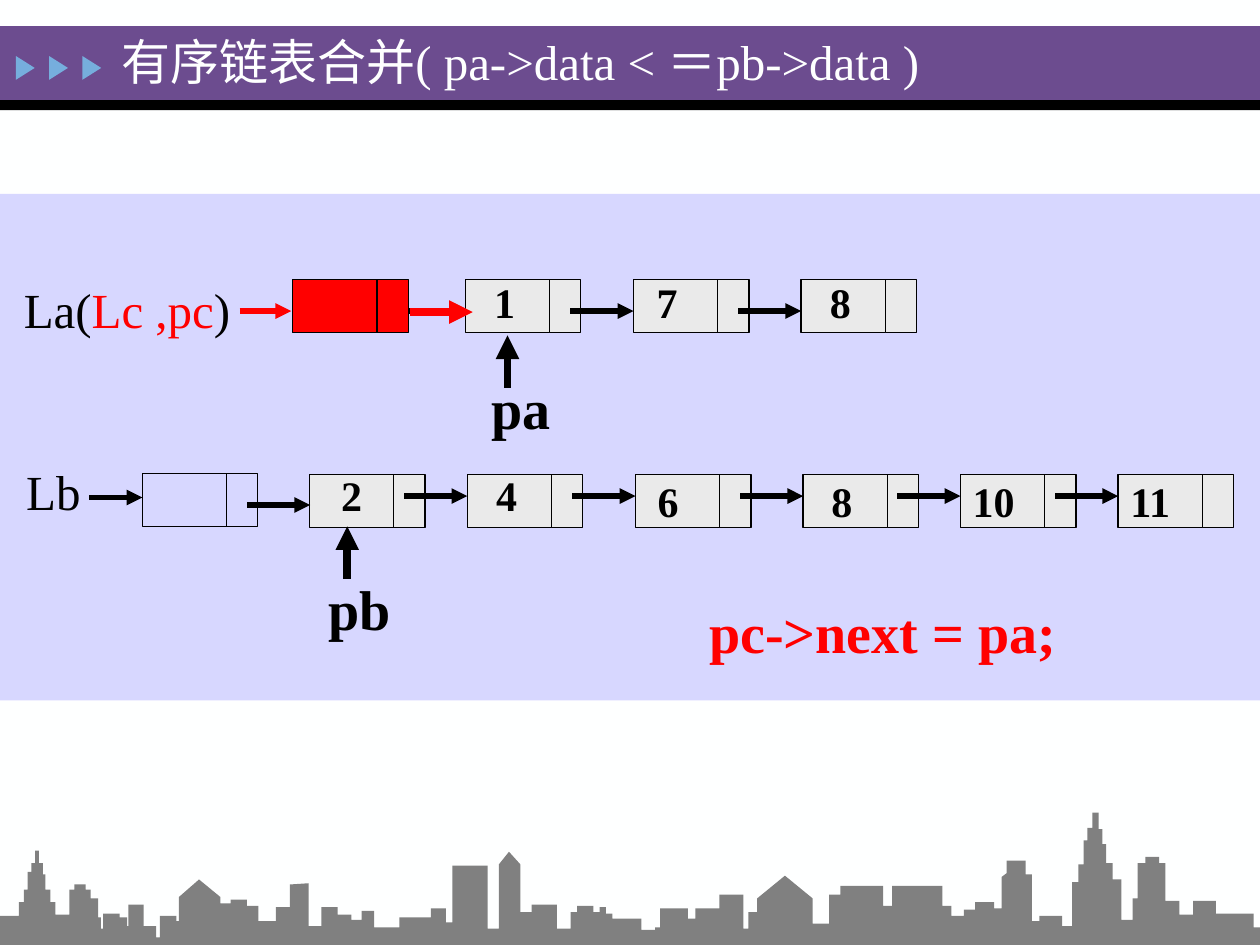
from lxml.etree import SubElement
from pptx import Presentation
from pptx.dml.color import RGBColor
from pptx.enum.shapes import MSO_CONNECTOR as Connector, MSO_SHAPE as Preset
from pptx.enum.text import MSO_ANCHOR as Anchor, PP_ALIGN as Align
from pptx.oxml.ns import qn
from pptx.util import Cm, Pt

PAPER = RGBColor(0xFE, 0xFF, 0xFF)
PURPLE = RGBColor(0x6C, 0x4C, 0x8F)
SKY_BLUE = RGBColor(0x76, 0xAE, 0xDD)
LAVENDER = RGBColor(0xD7, 0xD7, 0xFF)
NODE_GREY = RGBColor(0xEA, 0xEA, 0xEA)
CITY_GREY = RGBColor(0x80, 0x80, 0x80)
BLACK = RGBColor(0, 0, 0)
RED = RGBColor(0xFF, 0, 0)
FONT = "Times New Roman"

PAGE_WIDTH, PAGE_HEIGHT = 25.4, 19.05
DATA_WIDTH, LINK_WIDTH, NODE_HEIGHT = 1.7, 0.63, 1.07
LINK_LENGTH = 1.27

# Nodes as (value, left, inset of the value from the left, from the top).
LIST_A = [("1", 9.38, 0.33, -0.2), ("7", 12.77, 0.22, -0.2), ("8", 16.15, 0.33, -0.2)]
LIST_B = [("2", 6.24, 0.39, -0.22), ("4", 9.42, 0.33, -0.22), ("6", 12.81, 0.2, -0.1),
          ("8", 16.19, 0.32, -0.1), ("10", 19.36, 0, -0.1), ("11", 22.54, 0, -0.1)]

# Roof steps as (x, height) in thousandths of the width; SLOPES are reached diagonally.
SKYLINE = [
    (0, 23), (15, 34), (19, 44), (22, 58), (25, 65), (28, 75), (31, 65), (34, 56),
    (36, 44), (40, 34), (44, 24), (55, 44), (59, 48), (68, 44), (72, 37), (78, 22),
    (80, 13), (82, 25), (95, 22), (101, 15), (102, 32), (114, 15), (124, 6), (127, 23),
    (140, 19), (142, 38), (158, 52), (175, 38), (175, 33), (183, 36), (196, 31), (205, 19),
    (219, 30), (230, 48), (245, 49), (245, 15), (255, 30), (268, 24), (279, 20), (287, 27),
    (297, 14), (317, 22), (342, 29), (354, 18), (359, 63), (387, 13), (396, 64), (404, 74),
    (413, 64), (413, 26), (422, 32), (442, 13), (453, 26), (458, 31), (471, 26), (476, 30),
    (481, 25), (486, 21), (509, 12), (520, 14), (524, 29), (546, 21), (552, 29), (571, 40),
    (590, 13), (594, 26), (601, 37), (623, 55), (645, 37), (645, 17), (658, 40), (667, 47),
    (701, 31), (708, 47), (748, 31), (755, 23), (765, 28), (774, 34), (789, 29), (795, 54),
    (799, 57), (799, 67), (814, 56), (819, 19), (825, 23), (843, 15), (851, 50), (856, 64),
    (860, 83), (863, 93), (867, 105), (872, 92), (875, 80), (878, 65), (883, 52), (890, 20),
    (899, 37), (903, 65), (909, 70), (920, 65), (925, 35), (936, 24), (947, 35), (965, 25),
    (995, 14)]
SLOPES = {(158, 52), (175, 38), (245, 49), (404, 74), (413, 64), (623, 55), (645, 37), (799, 57)}


def paint(shape, fill, line=None):
    shape.shadow.inherit = False
    if fill is None:
        shape.fill.background()
    else:
        shape.fill.solid()
        shape.fill.fore_color.rgb = fill
    if line is None:
        shape.line.fill.background()
    else:
        shape.line.color.rgb = line
        shape.line.width = Pt(0.75)


def add_block(page, left, top, width, height, fill, line=None, preset=Preset.RECTANGLE):
    block = page.shapes.add_shape(preset, Cm(left), Cm(top), Cm(width), Cm(height))
    paint(block, fill, line)
    return block


def add_arrow(page, start, end, color=BLACK, weight=3):
    arrow = page.shapes.add_connector(
        Connector.STRAIGHT, Cm(start[0]), Cm(start[1]), Cm(end[0]), Cm(end[1]))
    arrow.line.color.rgb = color
    arrow.line.width = Pt(weight)
    SubElement(arrow.line._get_or_add_ln(), qn("a:tailEnd"), type="triangle")
    SubElement(arrow._element.spPr, qn("a:effectLst"))


def format_span(span, size, color, bold=False):
    span.font.name = FONT
    span.font.size = Pt(size)
    span.font.bold = bold
    span.font.color.rgb = color


def add_label(page, left, top, width, height, parts, size, bold=False):
    """Add one line of text from (text, color) parts."""
    label = page.shapes.add_textbox(Cm(left), Cm(top), Cm(width), Cm(height))
    label.text_frame.word_wrap = True
    para = label.text_frame.paragraphs[0]
    for text, color in parts:
        span = para.add_run()
        span.text = text
        format_span(span, size, color, bold)


def add_node(page, left, top, fill):
    add_block(page, left, top, DATA_WIDTH, NODE_HEIGHT, fill, BLACK)
    add_block(page, left + DATA_WIDTH, top, LINK_WIDTH, NODE_HEIGHT, fill, BLACK)


def add_values(page, left, top, nodes):
    for value, x, inset, drop in nodes:
        width = 1.05 if len(value) == 1 else 1.5
        add_label(page, left + x + inset, top + drop, width, 1.3, [(value, BLACK)], 24, True)


def add_chain(page, left, top, nodes, link_drop):
    """Draw the value nodes of a list and the links between them."""
    for _, x, _, _ in nodes:
        add_node(page, left + x, top, NODE_GREY)
    for _, x, _, _ in nodes[1:]:
        tip, level = left + x, top + link_drop
        add_arrow(page, (tip - LINK_LENGTH, level), (tip, level))
    add_values(page, left, top, nodes)


def add_pointer(page, name, x, tip, name_left, name_top):
    add_arrow(page, (x, tip + 1.06), (x, tip), weight=4.5)
    add_label(page, name_left, name_top, 2, 1.63, [(name, BLACK)], 32, True)


def add_title_band(page, left, top, width):
    add_block(page, left, top, width, 1.5, PURPLE)
    add_block(page, left, top + 1.49, width, 0.2, BLACK)
    for index in range(3):
        marker = add_block(page, left + 0.27 + 0.67 * index, top + 0.65, 0.48, 0.38,
                           SKY_BLUE, preset=Preset.ISOSCELES_TRIANGLE)
        marker.rotation = 90
    title = page.shapes.title
    title.left, title.top = Cm(left + 2.2), Cm(top - 0.02)
    title.width, title.height = Cm(21.67), Cm(1.42)
    title.text_frame.text = "有序链表合并( pa->data < ＝pb->data )"
    title.text_frame.vertical_anchor = Anchor.MIDDLE
    para = title.text_frame.paragraphs[0]
    para.alignment = Align.LEFT
    format_span(para.runs[0], 28, PAPER)
    page.shapes._spTree.append(title._element)  # bring in front of the band


def add_list_a(page, left, top):
    level = top + 0.63
    add_label(page, left + 0.23, top - 0.12, 4.9, 1.45,
              [("La(", BLACK), ("Lc ,pc", RED), (")", BLACK)], 28)
    add_arrow(page, (left + 4.83, level), (left + 5.87, level), RED)
    add_arrow(page, (left + 8.24, level), (left + 9.47, level))
    add_node(page, left + 5.9, top, RED)
    add_chain(page, left, top, LIST_A, 0.63)
    add_arrow(page, (left + 8.26, level + 0.02), (left + 9.53, level + 0.02), RED, 4.5)
    add_pointer(page, "pa", left + 10.23, top + 1.12, left + 9.65, top + 1.77)


def add_list_b(page, left, top):
    add_label(page, left + 0.28, top - 0.39, 1.8, 1.45, [("Lb", BLACK)], 28)
    add_arrow(page, (left + 1.8, top + 0.46), (left + 2.87, top + 0.46))
    add_chain(page, left, top, LIST_B, 0.43)
    add_node(page, left + 2.87, top - 0.03, None)
    add_arrow(page, (left + 4.98, top + 0.61), (left + 6.25, top + 0.61))
    add_pointer(page, "pb", left + 7, top + 1.04, left + 6.38, top + 1.88)


def add_merge_panel(page, left, top, width, height):
    add_block(page, left, top, width, height, LAVENDER)
    add_list_a(page, left, top + 1.73)
    add_list_b(page, left, top + 5.66)
    add_label(page, left + 14.05, top + 8.02, 8.08, 1.6, [("pc->next = pa;", RED)], 32, True)


def add_skyline(page, left, ground, width):
    points, level = [], 0
    for x, height in SKYLINE:
        if (x, height) not in SLOPES:
            points.append((x, -level))
        points.append((x, -height))
        level = height
    points += [(1000, -level), (1000, 0)]
    outline = page.shapes.build_freeform(0, 0, scale=Cm(width) / 1000)
    outline.add_line_segments(points, close=True)
    paint(outline.convert_to_shape(Cm(left), Cm(ground)), CITY_GREY)


def main():
    deck = Presentation()
    deck.slide_width, deck.slide_height = Cm(PAGE_WIDTH), Cm(PAGE_HEIGHT)
    page = deck.slides.add_slide(deck.slide_layouts[5])
    page.background.fill.solid()
    page.background.fill.fore_color.rgb = PAPER
    add_title_band(page, 0, 0.53, PAGE_WIDTH)
    add_merge_panel(page, 0, 3.91, PAGE_WIDTH, 10.21)
    add_skyline(page, 0, PAGE_HEIGHT, PAGE_WIDTH)
    deck.save("out.pptx")


if __name__ == "__main__":
    main()
